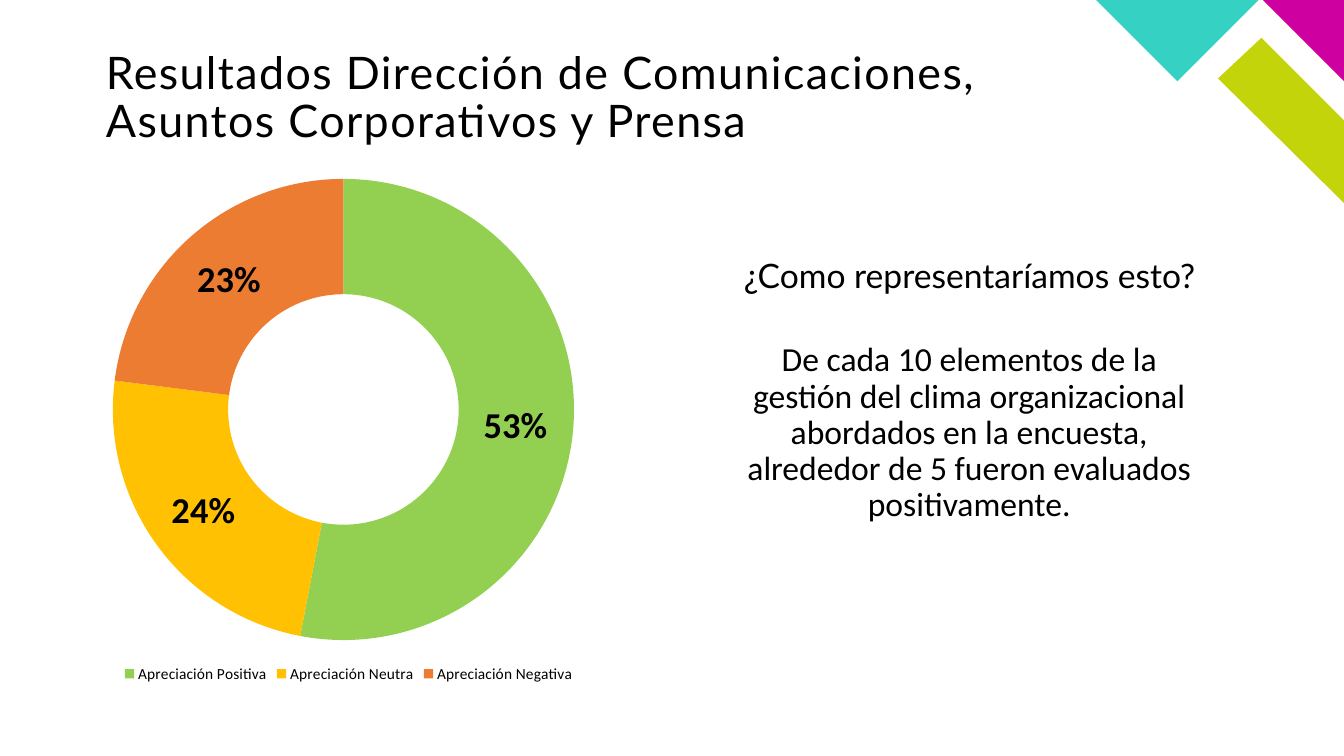
from pptx import Presentation
from pptx.chart.data import CategoryChartData
from pptx.dml.color import RGBColor
from pptx.enum import chart as charts, text
from pptx.oxml import parse_xml
from pptx.oxml.ns import nsdecls
from pptx.util import Pt

COLORS = {
    "ink": "000000",
    "teal": "35D2C4",
    "magenta": "CE009F",
    "lime": "C4D40A",
    "positive": "93D051",
    "neutral": "FFC101",
    "negative": "EC7C31",
}
CORNER = {
    "lime": [(177.4, 144.7), (177.4, 85.7), (118.1, 26.6), (87.8, 56.2)],
    "magenta": [(177.4, 57.6), (177.4, 0), (119.5, 0)],
    "teal": [(0, 0), (58.3, 57.6), (116.6, 0)],
}
RATINGS = [
    ("Apreciación Positiva", 0.53, "positive"),
    ("Apreciación Neutra", 0.24, "neutral"),
    ("Apreciación Negativa", 0.23, "negative"),
]


def color(name):
    return RGBColor.from_string(COLORS[name])


def style_font(font, size, name=None, bold=False):
    font.size = Pt(size)
    font.bold = bold
    font.color.rgb = color("ink")
    if name:
        font.name = name


def place(shape, box):
    shape.left, shape.top, shape.width, shape.height = map(Pt, box)


def draw_corner(page, left, top):
    for name, points in CORNER.items():
        points = [(left + x, top + y) for x, y in points]
        builder = page.shapes.build_freeform(*points[0], scale=Pt(1))
        builder.add_line_segments(points[1:], close=True)
        shape = builder.convert_to_shape()
        shape.shadow.inherit = False
        shape.fill.solid()
        shape.fill.fore_color.rgb = color(name)
        shape.line.fill.background()


def write_title(page, box, wording):
    title = page.shapes.title
    place(title, box)
    frame = title.text_frame
    frame.text = wording
    frame.margin_left = frame.margin_top = frame.margin_right = frame.margin_bottom = 0
    frame.vertical_anchor = text.MSO_ANCHOR.TOP
    frame.auto_size = text.MSO_AUTO_SIZE.NONE
    para = frame.paragraphs[0]
    para.alignment = text.PP_ALIGN.LEFT
    para.line_spacing = 0.9
    span = para.runs[0]
    style_font(span.font, 32, "Lato")
    span.font._element.set("spc", "100")


def write_body(body, box, wording, font_name):
    place(body, box)
    frame = body.text_frame
    frame.text = wording
    frame.vertical_anchor = text.MSO_ANCHOR.MIDDLE
    frame.auto_size = text.MSO_AUTO_SIZE.NONE
    para = frame.paragraphs[0]
    properties = para._p.get_or_add_pPr()
    properties.set("marL", "0")
    properties.set("indent", "0")
    properties.append(parse_xml(f"<a:buNone {nsdecls('a')}/>"))
    para.alignment = text.PP_ALIGN.CENTER
    para.line_spacing = 0.9
    para.space_before = Pt(0)
    style_font(para.runs[0].font, 24, font_name)


def set_plot_area(chart, x, y, width, height):
    plot_area = chart._chartSpace.chart.plotArea
    for layout in plot_area.findall("{*}layout"):
        plot_area.remove(layout)
    plot_area.insert(0, parse_xml(
        f'<c:layout {nsdecls("c")}><c:manualLayout><c:layoutTarget val="inner"/>'
        '<c:xMode val="edge"/><c:yMode val="edge"/>'
        f'<c:x val="{x}"/><c:y val="{y}"/><c:w val="{width}"/><c:h val="{height}"/>'
        "</c:manualLayout></c:layout>"))


def draw_ratings(page, box):
    names, values, fills = zip(*RATINGS)
    data = CategoryChartData(number_format="0%")
    data.categories = names
    data.add_series("Apreciación", values)
    chart = page.shapes.add_chart(
        charts.XL_CHART_TYPE.DOUGHNUT, *map(Pt, box), data).chart
    chart.has_title = False
    style_font(chart.font, 18, "Calibri")
    chart.has_legend = True
    chart.legend.position = charts.XL_LEGEND_POSITION.BOTTOM
    chart.legend.include_in_layout = False
    style_font(chart.legend.font, 11, "Calibri")
    set_plot_area(chart, 0.05, 0.03, 0.88, 0.88)

    plot = chart.plots[0]
    plot.vary_by_categories = True
    plot._element.find("{*}holeSize").set("val", "50")
    series = plot.series[0]
    for index, fill in enumerate(fills):
        point = series.points[index].format
        point.fill.solid()
        point.fill.fore_color.rgb = color(fill)
        point.line.fill.background()
    labels = series.data_labels
    labels.show_value = True
    labels.show_percentage = False
    labels.number_format = "0%"
    labels.number_format_is_linked = False
    style_font(labels.font, 26, "Calibri", bold=True)


def main():
    deck = Presentation()
    deck.slide_width, deck.slide_height = Pt(960), Pt(540)
    page = deck.slides.add_slide(deck.slide_layouts[3])
    draw_corner(page, 782.6, 0)
    write_title(page, (75.6, 36, 720, 48.2),
                "Resultados Dirección de Comunicaciones, Asuntos Corporativos y Prensa")
    write_body(page.placeholders[1], (517, 221, 350.6, 177.1),
               "De cada 10 elementos de la gestión del clima organizacional abordados "
               "en la encuesta, alrededor de 5 fueron evaluados positivamente.", "Calibri")
    write_body(page.placeholders[2], (512.6, 167, 360, 62.6),
               "¿Como representaríamos esto?", "Lato")
    draw_ratings(page, (61.9, 116.6, 374.4, 374.4))
    deck.save("out.pptx")


if __name__ == "__main__":
    main()
